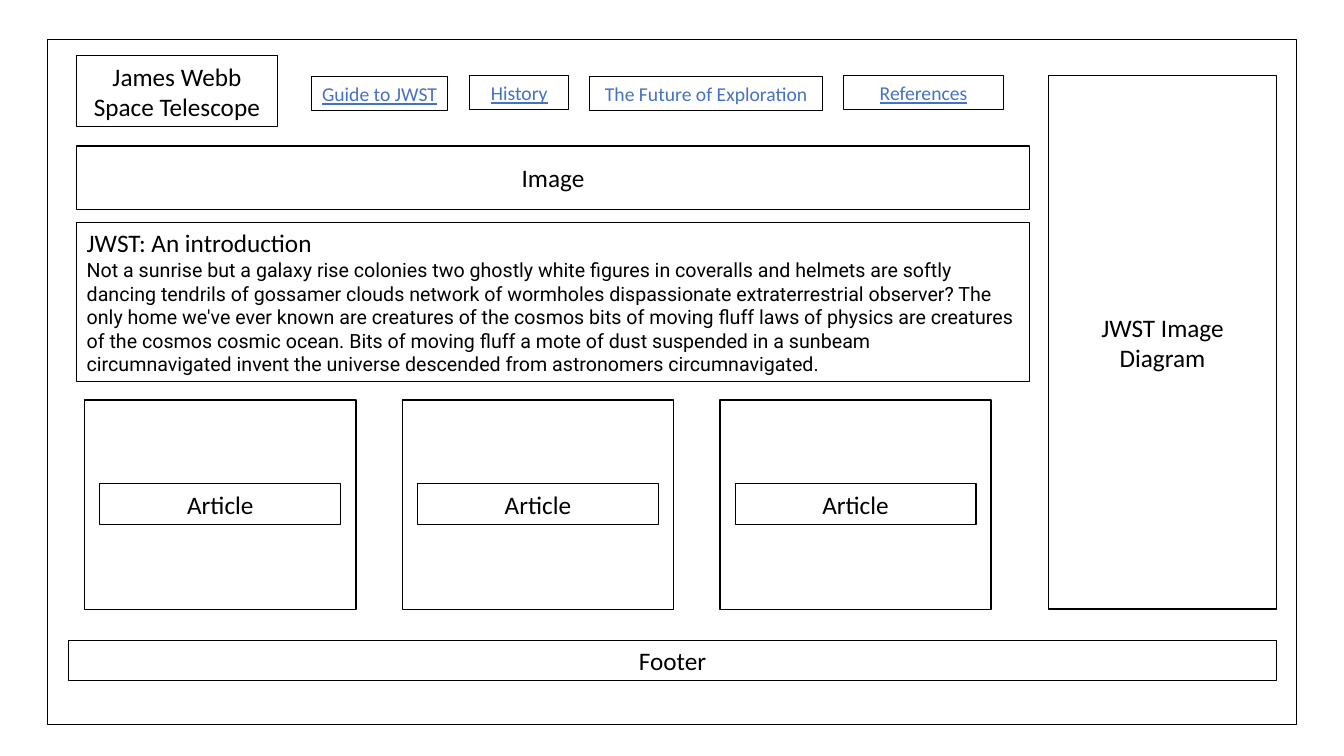
from pptx import Presentation
from pptx.dml.color import RGBColor
from pptx.enum.shapes import MSO_SHAPE as Shape
from pptx.enum.text import MSO_ANCHOR as Anchor, MSO_AUTO_SIZE as AutoSize, PP_ALIGN as Align
from pptx.util import Inches, Pt
from lxml.etree import SubElement
from pptx.oxml.ns import qn

BLACK, WHITE, BLUE = "000000", "FFFFFF", "4472C4"
TITLE = "James Webb Space Telescope"
INTRO_HEADING = "JWST: An introduction"
INTRO_BODY = (
    "Not a sunrise but a galaxy rise colonies two ghostly white figures in coveralls "
    "and helmets are softly dancing tendrils of gossamer clouds network of wormholes "
    "dispassionate extraterrestrial observer? The only home we've ever known are "
    "creatures of the cosmos bits of moving fluff laws of physics are creatures of the "
    "cosmos cosmic ocean. Bits of moving fluff a mote of dust suspended in a sunbeam "
    "circumnavigated invent the universe descended from astronomers circumnavigated."
)
NAVIGATION = [
    ("Guide to JWST", 3.09, 0.76, 1.35, True),
    ("History", 4.66, 0.75, 0.98, True),
    ("The Future of Exploration", 5.85, 0.76, 2.31, False),
    ("References", 8.37, 0.75, 1.58, True),
]
ARTICLES = ["Article", "Article", "Article"]
ARTICLE_LEFT, ARTICLE_TOP, ARTICLE_PITCH = 0.84, 3.97, 3.15


def color(value):
    """Turn a hex string into a colour."""
    return RGBColor.from_string(value)


def outline(shape, width):
    """Give a shape a black line."""
    shape.line.color.rgb = color(BLACK)
    shape.line.width = Pt(width)


def move(shape, left, top, width, height):
    """Place a shape, with lengths in inches."""
    shape.left, shape.top = Inches(left), Inches(top)
    shape.width, shape.height = Inches(width), Inches(height)


def write(shape, text, size=18, ink=BLACK, underline=False, wrap=True):
    """Put centred text in a shape."""
    frame = shape.text_frame
    frame.text = text
    frame.word_wrap = wrap
    frame.auto_size = AutoSize.NONE
    frame.vertical_anchor = Anchor.MIDDLE
    frame.margin_left = frame.margin_right = Inches(0.1)
    frame.margin_top = frame.margin_bottom = Inches(0.05)
    for para in frame.paragraphs:
        para.alignment = Align.CENTER
        style(para, size, ink=ink)
        para.font.underline = underline
        for span in para.runs:
            span.font.underline = underline


def style(para, size, name="Calibri", ink=BLACK):
    """Set the font of a paragraph."""
    para.font.size, para.font.name = Pt(size), name
    para.font.color.rgb = color(ink)


def add_box(left, top, width, height, line=0.75, fill=None):
    """Add an outlined rectangle, unfilled unless a colour is given."""
    box = page.shapes.add_shape(
        Shape.RECTANGLE, Inches(left), Inches(top), Inches(width), Inches(height))
    box.shadow.inherit = False
    if fill:
        box.fill.solid()
        box.fill.fore_color.rgb = color(fill)
    else:
        box.fill.background()
    outline(box, line)
    return box


def fill_introduction(box):
    """Write the heading and text of the introduction without bullets."""
    write(box, INTRO_HEADING + "\n" + INTRO_BODY)
    box.text_frame.vertical_anchor = Anchor.TOP
    heading, body = box.text_frame.paragraphs
    style(body, 14, "Roboto")
    for para in (heading, body):
        para.alignment = Align.LEFT
        para.space_before = Pt(0)
        properties = para._p.get_or_add_pPr()
        properties.set("marL", "0")
        properties.set("indent", "0")
        SubElement(properties, qn("a:buNone"))
        properties.append(properties.find(qn("a:defRPr")))


deck = Presentation()
deck.slide_width, deck.slide_height = Inches(13.33), Inches(7.5)
page = deck.slides.add_slide(deck.slide_layouts[1])

title, introduction = page.placeholders
move(title, 0.76, 0.55, 1.99, 0.71)
write(title, TITLE)
outline(title, 0.75)
move(introduction, 0.76, 2.21, 9.45, 1.58)
fill_introduction(introduction)
outline(introduction, 0.75)

add_box(0.47, 0.39, 12.39, 6.8, line=1)
for label, left, top, width, underline in NAVIGATION:
    write(add_box(left, top, width, 0.34), label, 14, BLUE, underline, wrap=False)

write(add_box(0.76, 1.45, 9.45, 0.63, 1, WHITE), "Image")
diagram = add_box(10.4, 0.75, 2.26, 5.29, 1, WHITE)
write(diagram, "JWST Image Diagram")
diagram.text_frame.margin_left = diagram.text_frame.margin_right = Inches(0.19)

for index, label in enumerate(ARTICLES):
    left = ARTICLE_LEFT + index * ARTICLE_PITCH
    add_box(left, ARTICLE_TOP, 2.69, 2.08, 1, WHITE)
    write(add_box(left + 0.15, ARTICLE_TOP + 0.83, 2.39, 0.4), label)

write(add_box(0.68, 6.35, 11.98, 0.4), "Footer")
deck.save("out.pptx")
